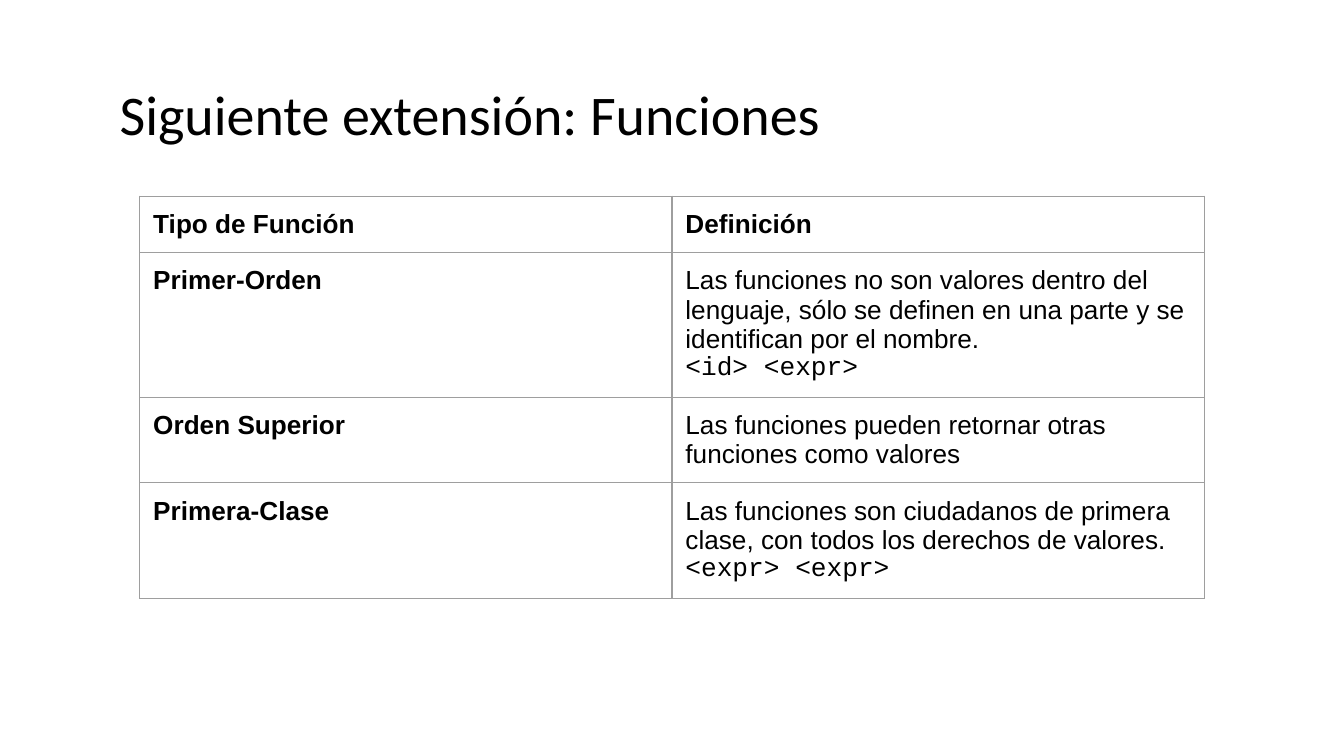
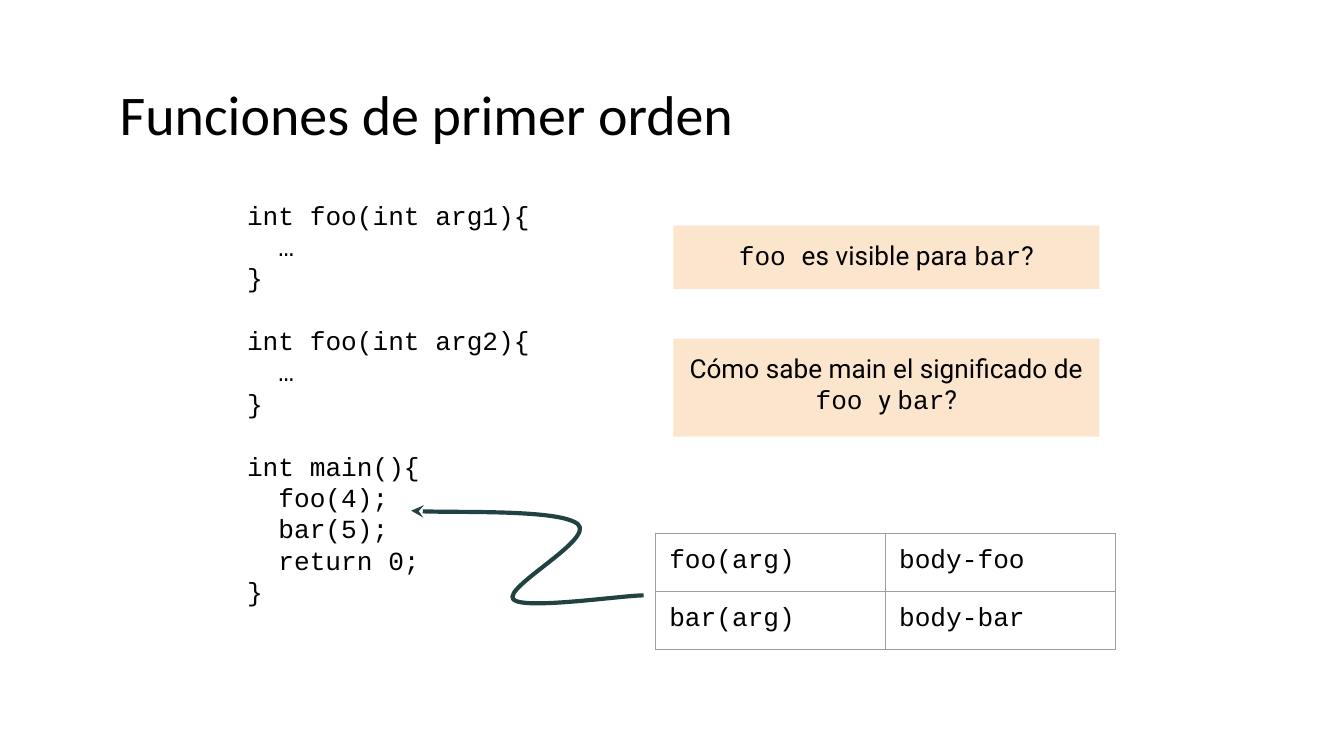
from dataclasses import dataclass

from lxml import etree
from pptx import Presentation
from pptx.dml.color import RGBColor
from pptx.enum.shapes import MSO_SHAPE
from pptx.enum.text import MSO_ANCHOR, MSO_AUTO_SIZE, PP_ALIGN
from pptx.oxml.ns import qn
from pptx.util import Inches, Pt

RECT = MSO_SHAPE.RECTANGLE
TOP = MSO_ANCHOR.TOP
FIXED = MSO_AUTO_SIZE.NONE
LEFT, MID = PP_ALIGN.LEFT, PP_ALIGN.CENTER

WIDE = Inches(10)
COLS = 100  # square grid: 100 columns across the slide
ROWS = 56.25


@dataclass(frozen=True)
class Theme:
    ink: str = "000000"
    note: str = "FCE5CD"
    rule: str = "9E9E9E"
    arrow: str = "224141"
    head: str = "Calibri"
    sans: str = "Arial"
    mono: str = "Courier New"
    round: str = "Roboto"
    big: float = 30
    text: float = 14
    lead: float = 16.8
    thin: float = 0.75
    thick: float = 2.25
    pad: float = 1


T = Theme()


def grid(*cells):
    """Turn grid columns or rows into lengths."""
    return [int(WIDE * c / COLS) for c in cells]


def color(code):
    return RGBColor.from_string(code)


# Text
def add_run(para, text, font, size=T.text, bold=False):
    run = para.add_run()
    run.text = text
    run.font.name = font
    run.font.size = Pt(size)
    run.font.bold = bold
    run.font.color.rgb = color(T.ink)


def set_frame(frame):
    pad, = grid(T.pad)
    frame.margin_left = frame.margin_right = pad
    frame.margin_top = frame.margin_bottom = pad
    frame.word_wrap = True
    frame.auto_size = FIXED
    frame.vertical_anchor = TOP


def add_page(deck, title):
    page = deck.slides.add_slide(deck.slide_layouts[5])
    box = page.shapes.title
    box.left, box.top, box.width, box.height = grid(7.9, 4.9, 84.3, 6.3)
    set_frame(box.text_frame)
    para = box.text_frame.paragraphs[0]
    para.alignment = LEFT
    add_run(para, title, T.head, T.big)
    return page


def add_code(page, place, blocks):
    """Blocks of (level, line); a gap of one line parts the blocks."""
    frame = page.shapes.add_textbox(*grid(*place)).text_frame
    set_frame(frame)
    para = None
    for block in blocks:
        for i, (level, line) in enumerate(block):
            gap = para is not None and i == 0
            para = frame.add_paragraph() if para else frame.paragraphs[0]
            para.line_spacing = Pt(T.lead)
            para.space_before = Pt(T.lead if gap else 0)
            # Two characters of indent per level
            para._p.get_or_add_pPr().set("marL", str(Pt(T.lead * level)))
            add_run(para, line, T.mono)


def add_note(page, place, runs):
    box = page.shapes.add_shape(RECT, *grid(*place))
    box.shadow.inherit = False
    box.fill.solid()
    box.fill.fore_color.rgb = color(T.note)
    box.line.fill.background()
    set_frame(box.text_frame)
    para = box.text_frame.paragraphs[0]
    para.alignment = MID
    for text, font in runs:
        add_run(para, text, font)


# Tables
def set_edges(cell):
    props = cell._tc.get_or_add_tcPr()
    for i, side in enumerate(("lnL", "lnR", "lnT", "lnB")):
        line = etree.Element(qn("a:" + side), w=str(Pt(T.thin)))
        fill = etree.SubElement(line, qn("a:solidFill"))
        etree.SubElement(fill, qn("a:srgbClr"), val=T.rule)
        props.insert(i, line)


def add_grid(page, left, top, wide, high, rows):
    """Each cell is a list of paragraphs: (text, font, bold)."""
    count = len(rows[0])
    place = grid(left, top, wide * count, high * len(rows))
    table = page.shapes.add_table(len(rows), count, *place).table
    table.first_row = table.horz_banding = False
    for r, row in enumerate(rows):
        for c, lines in enumerate(row):
            cell = table.cell(r, c)
            cell.fill.background()
            set_edges(cell)
            pad, = grid(T.pad)
            cell.margin_left = cell.margin_right = pad
            cell.margin_top = cell.margin_bottom = pad
            frame = cell.text_frame
            for i, (text, font, bold) in enumerate(lines):
                para = frame.add_paragraph() if i else frame.paragraphs[0]
                add_run(para, text, font, bold=bold)


# Curved arrow
def add_curve(page, start, *points):
    """Every three points after the start make one Bezier segment."""
    pen = page.shapes.build_freeform(*grid(*start))
    pen.add_line_segments([grid(*p) for p in points], close=False)
    curve = pen.convert_to_shape()
    curve.shadow.inherit = False
    curve.fill.background()
    curve.line.color.rgb = color(T.arrow)
    curve.line.width = Pt(T.thick)
    steps = curve._element.xpath(".//a:lnTo")
    for i in range(0, len(steps), 3):
        bend = etree.Element(qn("a:cubicBezTo"))
        steps[i].addprevious(bend)
        for step in steps[i:i + 3]:
            bend.append(step[0])
            step.getparent().remove(step)
    line = curve.line._get_or_add_ln()
    etree.SubElement(line, qn("a:headEnd"), type="stealth")


def add_kinds(deck):
    page = add_page(deck, "Siguiente extensión: Funciones")
    kinds = [
        ("Primer-Orden",
         "Las funciones no son valores dentro del lenguaje, sólo se definen "
         "en una parte y se identifican por el nombre.", "<id> <expr>"),
        ("Orden Superior",
         "Las funciones pueden retornar otras funciones como valores", ""),
        ("Primera-Clase",
         "Las funciones son ciudadanos de primera clase, con todos los "
         "derechos de valores.", "<expr> <expr>"),
    ]
    rows = [[[(name, T.sans, True)] for name in ("Tipo de Función", "Definición")]]
    for name, text, form in kinds:
        lines = [(text, T.sans, False)]
        if form:
            lines.append((form, T.mono, False))
        rows.append([[(name, T.sans, True)], lines])
    add_grid(page, 10.4, 14.6, 39.6, 4.2, rows)


def add_first(deck):
    page = add_page(deck, "Funciones de primer orden")
    blocks = [[(0, f"int foo(int {arg}){{"), (1, "…"), (0, "}")]
              for arg in ("arg1", "arg2")]
    blocks.append([(0, "int main(){"), (1, "foo(4);"), (1, "bar(5);"),
                   (1, "return 0;"), (0, "}")])
    add_code(page, (17.4, 13.8, 32.7, 36.9), blocks)

    # Questions
    add_note(page, (50.1, 16.8, 31.7, 4.7), [
        ("foo ", T.mono), ("es visible para ", T.round),
        ("bar", T.mono), ("?", T.round)])
    add_note(page, (50.1, 25.2, 31.7, 7.3), [
        ("Cómo sabe main el significado de ", T.round), ("foo ", T.mono),
        ("y ", T.round), ("bar", T.mono), ("?", T.round)])

    # Function table and its link to the code
    rows = [[[(f"{name}(arg)", T.mono, False)], [(f"body-{name}", T.mono, False)]]
            for name in ("foo", "bar")]
    add_grid(page, 48.8, 39.7, 17.1, 4.3, rows)
    add_curve(page, (30.6, 38),
              (32.7, 38.2), (41.7, 37.9), (43, 39),
              (44.3, 40.1), (37.4, 43.7), (38.2, 44.6),
              (39, 45.4), (46.3, 44.3), (47.9, 44.3))


def main():
    deck = Presentation()
    deck.slide_width, deck.slide_height = grid(COLS, ROWS)
    add_kinds(deck)
    add_first(deck)
    deck.save("out.pptx")


if __name__ == "__main__":
    main()
